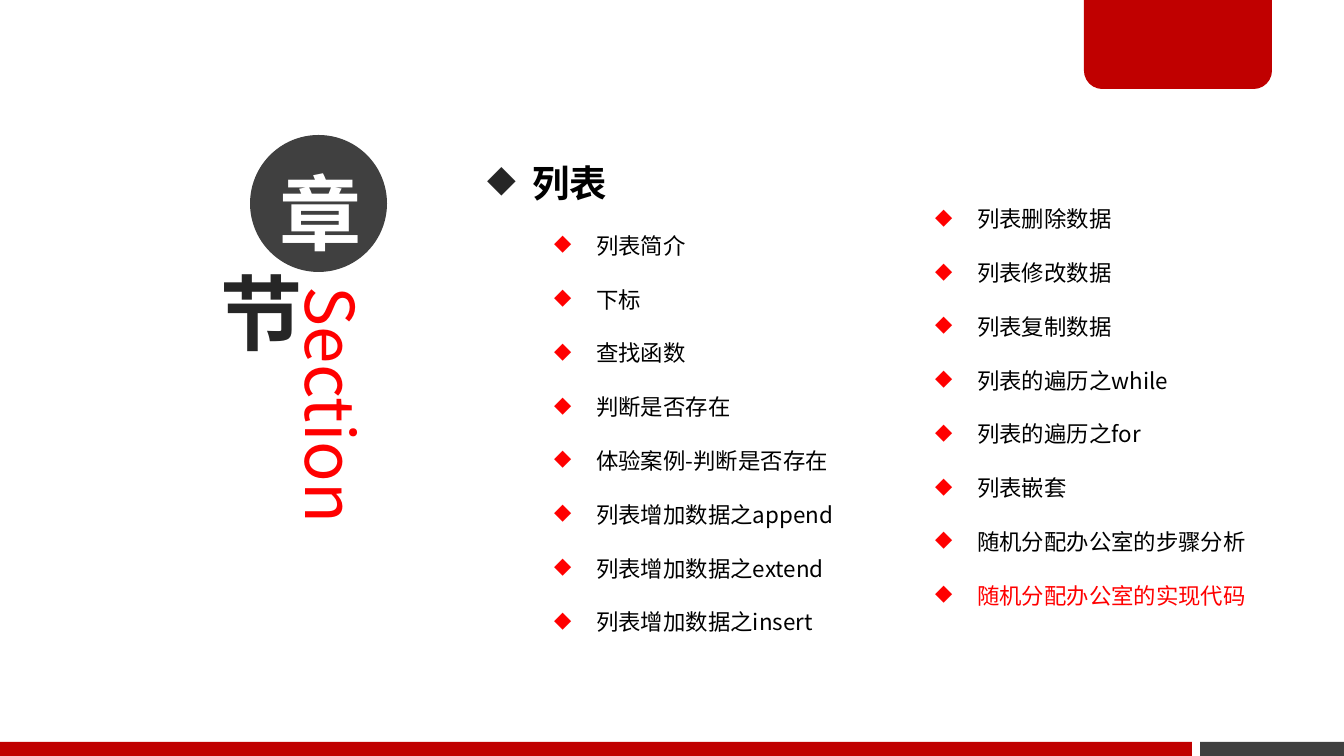
from lxml import etree
from pptx import Presentation
from pptx.dml.color import RGBColor
from pptx.enum.shapes import MSO_SHAPE
from pptx.enum.text import MSO_ANCHOR, PP_ALIGN
from pptx.oxml.ns import qn
from pptx.util import Pt

PX = 914400 / 134.4
FONT = "Noto Sans CJK SC"
CRIMSON = RGBColor(0xC0, 0x00, 0x00)
RED = RGBColor(0xFF, 0x00, 0x00)
CHARCOAL = RGBColor(0x40, 0x40, 0x40)
INK = RGBColor(0x26, 0x26, 0x26)
BLACK = RGBColor(0x00, 0x00, 0x00)
WHITE = RGBColor(0xFF, 0xFF, 0xFF)
RECT, OVAL = MSO_SHAPE.RECTANGLE, MSO_SHAPE.OVAL
TAB = MSO_SHAPE.ROUND_2_SAME_RECTANGLE
MIDDLE, CENTER = MSO_ANCHOR.MIDDLE, PP_ALIGN.CENTER


def px(*lengths):
    return [round(length * PX) for length in lengths]


def add_text(paragraph, text, size, color, bold=False):
    run = paragraph.add_run()
    run.text = text
    run.font.size = Pt(size)
    run.font.bold = bold
    run.font.color.rgb = color
    run.font.name = FONT
    etree.SubElement(run.font._element, qn("a:ea"), typeface=FONT)


prs = Presentation()
prs.slide_width, prs.slide_height = px(1344, 756)
slide = prs.slides.add_slide(prs.slide_layouts[6])
shapes = slide.shapes

decor = []
for preset, box, color in [
    (RECT, (1200, 742, 144, 14), CHARCOAL),
    (TAB, (1084, -3, 188, 92), CRIMSON),
    (RECT, (0, 742, 1192, 14), CRIMSON),
    (OVAL, (250, 135, 137, 137), CHARCOAL),
    (OVAL, (196, 258, 108, 108), None),
]:
    shape = shapes.add_shape(preset, *px(*box))
    shape.shadow.inherit = False
    shape.line.fill.background()
    if color is None:
        shape.fill.background()
    else:
        shape.fill.solid()
        shape.fill.fore_color.rgb = color
    decor.append(shape)

corner_tab, chapter_disc, chapter_ring = decor[1], decor[3], decor[4]
corner_tab.adjustments[0] = 0
corner_tab.adjustments[1] = 0.2

for disc, character, color, bottom in [
    (chapter_disc, "章", WHITE, 20),
    (chapter_ring, "节", INK, 5),
]:
    frame = disc.text_frame
    frame.vertical_anchor = MIDDLE
    (frame.margin_left, frame.margin_top,
     frame.margin_right, frame.margin_bottom) = px(9, 5, 9, bottom)
    frame.paragraphs[0].alignment = CENTER
    add_text(frame.paragraphs[0], character, 44, color, True)
chapter_disc.text_frame.paragraphs[0].line_spacing = Pt(70)

section = shapes.add_textbox(*px(288, 282, 94, 388)).text_frame
section.word_wrap = True
section._txBody.bodyPr.set("vert", "vert")
(section.margin_left, section.margin_top,
 section.margin_right, section.margin_bottom) = px(9, 5, 9, 5)
add_text(section.paragraphs[0], "Section", 36, RED)

TITLE = (0, 45, 45, INK, 20, BLACK, True)
TOPIC = (1, 109, 42, RED, 12, BLACK, False)
CURRENT = (1, 109, 42, RED, 12, RED, False)

first_topics = ["列表简介", "下标", "查找函数", "判断是否存在", "体验案例-判断是否存在",
                "列表增加数据之append", "列表增加数据之extend", "列表增加数据之insert"]
later_topics = ["列表删除数据", "列表修改数据", "列表复制数据", "列表的遍历之while",
                "列表的遍历之for", "列表嵌套", "随机分配办公室的步骤分析"]

for box, entries in [
    ((474, 109, 634, 538),
     [("列表", TITLE)] + [(topic, TOPIC) for topic in first_topics]),
    ((855, 172, 634, 475),
     [(topic, TOPIC) for topic in later_topics] + [("随机分配办公室的实现代码", CURRENT)]),
]:
    frame = shapes.add_textbox(*px(*box)).text_frame
    frame.word_wrap = True
    for index, (text, style) in enumerate(entries):
        level, margin, hang, bullet_color, size, color, bold = style
        paragraph = frame.add_paragraph() if index else frame.paragraphs[0]
        paragraph.level = level
        paragraph.line_spacing = 2.0
        props = paragraph._p.get_or_add_pPr()
        left, indent = px(margin, -hang)
        props.set("marL", str(left))
        props.set("indent", str(indent))
        tint = etree.SubElement(props, qn("a:buClr"))
        etree.SubElement(tint, qn("a:srgbClr"), val=str(bullet_color))
        etree.SubElement(props, qn("a:buChar"), char="◆")
        add_text(paragraph, text, size, color, bold)

prs.save("out.pptx")
